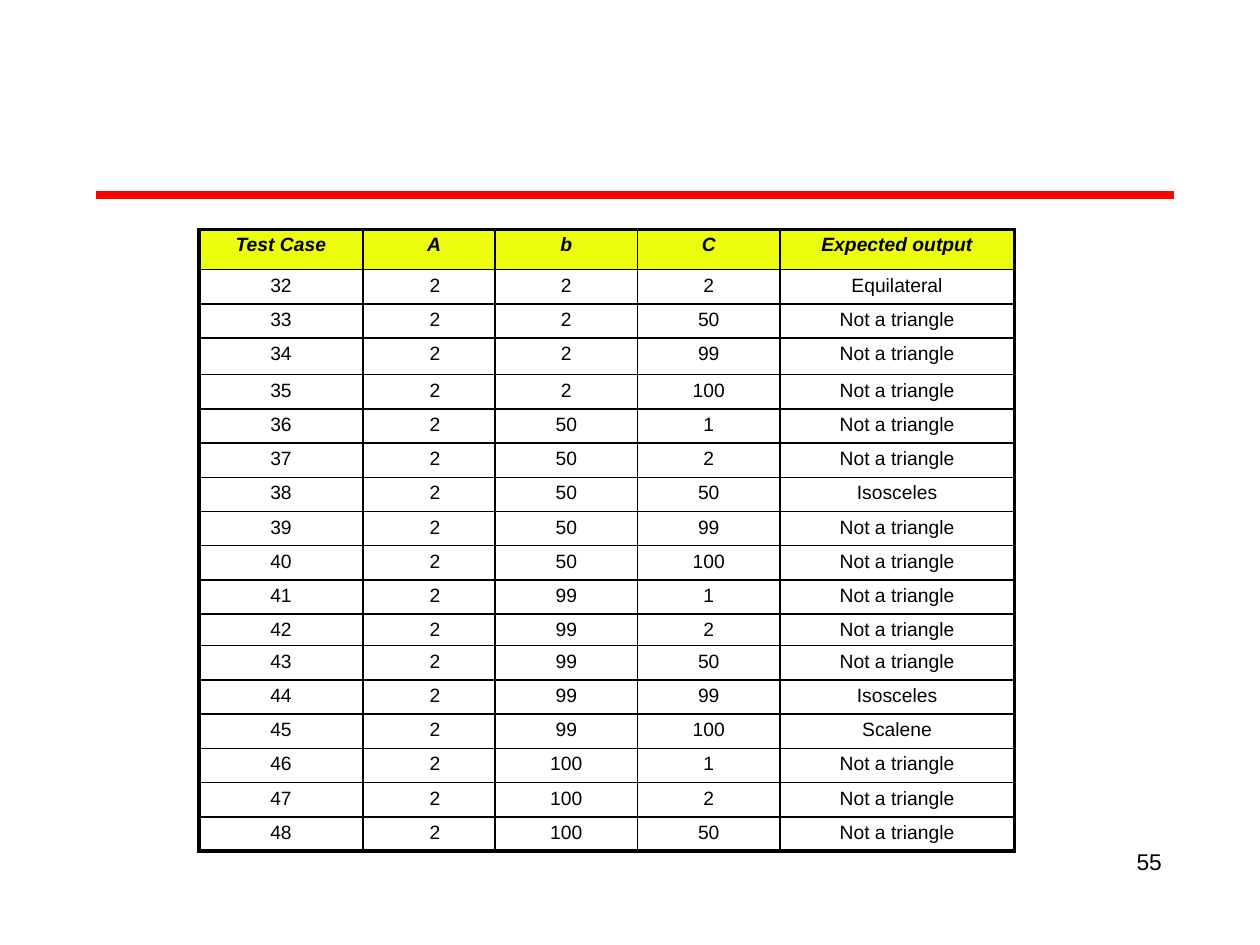
from itertools import product

from lxml.etree import SubElement
from pptx import Presentation
from pptx.dml.color import RGBColor
from pptx.enum.shapes import MSO_CONNECTOR as Connector
from pptx.enum.text import MSO_AUTO_SIZE as AutoSize, PP_ALIGN as Align
from pptx.oxml.ns import qn
from pptx.util import Inches, Pt

BLACK = RGBColor(0x00, 0x00, 0x00)
RED = RGBColor(0xFF, 0x00, 0x00)
YELLOW = RGBColor(0xEC, 0xFD, 0x0E)
FONT = "Arial"
THIN, THICK = Pt(1), Pt(2.25)

HEADINGS = ["Test Case", "A", "b", "C", "Expected output"]
COLUMN_WIDTHS = [1.3, 1.05, 1.13, 1.13, 1.86]
SPECIAL_HEIGHTS = {0: 0.32, 3: 0.29, 11: 0.25}
FIRST_CASE, LAST_CASE = 32, 48
SIDE_A = 2
SIDES_B = [2, 50, 99, 100]
SIDES_C = [1, 2, 50, 99, 100]


def expected_output(*sides):
    short, middle, long = sorted(sides)
    if short + middle <= long:
        return "Not a triangle"
    return {1: "Equilateral", 2: "Isosceles", 3: "Scalene"}[len(set(sides))]


def test_cases():
    pairs = list(product(SIDES_B, SIDES_C))[1:]
    return [
        [str(case), str(SIDE_A), str(b), str(c), expected_output(SIDE_A, b, c)]
        for case, (b, c) in zip(range(FIRST_CASE, LAST_CASE + 1), pairs)
    ]


def format_text(para, size, spacing, bold=False):
    para.line_spacing = Pt(spacing)
    for span in para.runs:
        span.font.name = FONT
        span.font.size = Pt(size)
        span.font.bold = span.font.italic = bold
        span.font.color.rgb = BLACK


def indent(para, distance):
    properties = para._p.get_or_add_pPr()
    properties.set("marL", str(Inches(distance)))
    properties.set("indent", "0")


def set_borders(cell, widths):
    properties = cell._tc.get_or_add_tcPr()
    for side, width in widths.items():
        line = SubElement(properties, qn(f"a:ln{side}"), w=str(width))
        fill = SubElement(line, qn("a:solidFill"))
        SubElement(fill, qn("a:srgbClr"), val=str(BLACK))


def add_rule(page, left, top, width):
    rule = page.shapes.add_connector(
        Connector.STRAIGHT, Inches(left), Inches(top), Inches(left + width), Inches(top)
    )
    rule.line.color.rgb = RED
    rule.line.width = Pt(4.5)
    SubElement(rule._element.spPr, qn("a:effectLst"))


def add_case_table(page, left, top, width, height):
    rows = [HEADINGS] + test_cases()
    last_row, last_column = len(rows) - 1, len(HEADINGS) - 1
    table = page.shapes.add_table(
        len(rows), len(HEADINGS), Inches(left), Inches(top), Inches(width), Inches(height)
    ).table
    table.first_row = table.horz_banding = False
    for column, column_width in zip(table.columns, COLUMN_WIDTHS):
        column.width = Inches(column_width)
    usual = (height - sum(SPECIAL_HEIGHTS.values())) / (len(rows) - len(SPECIAL_HEIGHTS))

    for r, values in enumerate(rows):
        table.rows[r].height = Inches(SPECIAL_HEIGHTS.get(r, usual))
        for c, value in enumerate(values):
            cell = table.cell(r, c)
            cell.margin_left = cell.margin_right = cell.margin_top = cell.margin_bottom = 0
            set_borders(cell, {
                "L": THICK if c == 0 else THIN,
                "R": THICK if c == last_column else THIN,
                "T": THICK if r == 0 else THIN,
                "B": THICK if r == last_row else THIN,
            })
            if r == 0:
                cell.fill.solid()
                cell.fill.fore_color.rgb = YELLOW
            else:
                cell.fill.background()
            para = cell.text_frame.paragraphs[0]
            para.text = value
            format_text(para, 11, 15.2, bold=r == 0)
            if c == 1:
                para.alignment = Align.LEFT
                indent(para, 0.51 if r == 0 else 0.53)
            else:
                para.alignment = Align.CENTER


def add_page_number(page, left, top, width, height):
    box = page.shapes.add_textbox(Inches(left), Inches(top), Inches(width), Inches(height))
    frame = box.text_frame
    frame.margin_left = frame.margin_right = frame.margin_top = frame.margin_bottom = 0
    frame.word_wrap = True
    frame.auto_size = AutoSize.SHAPE_TO_FIT_TEXT
    para = frame.paragraphs[0]
    para.text = "55"
    format_text(para, 13, 13.2)
    indent(para, 0.02)


def main():
    deck = Presentation()
    deck.slide_width, deck.slide_height = Inches(10), Inches(7.5)
    page = deck.slides.add_slide(deck.slide_layouts[6])
    add_rule(page, 0.76, 1.55, 8.56)
    add_case_table(page, 1.58, 1.82, 6.48, 4.94)
    add_page_number(page, 9, 6.76, 0.25, 0.18)
    deck.save("out.pptx")


if __name__ == "__main__":
    main()
